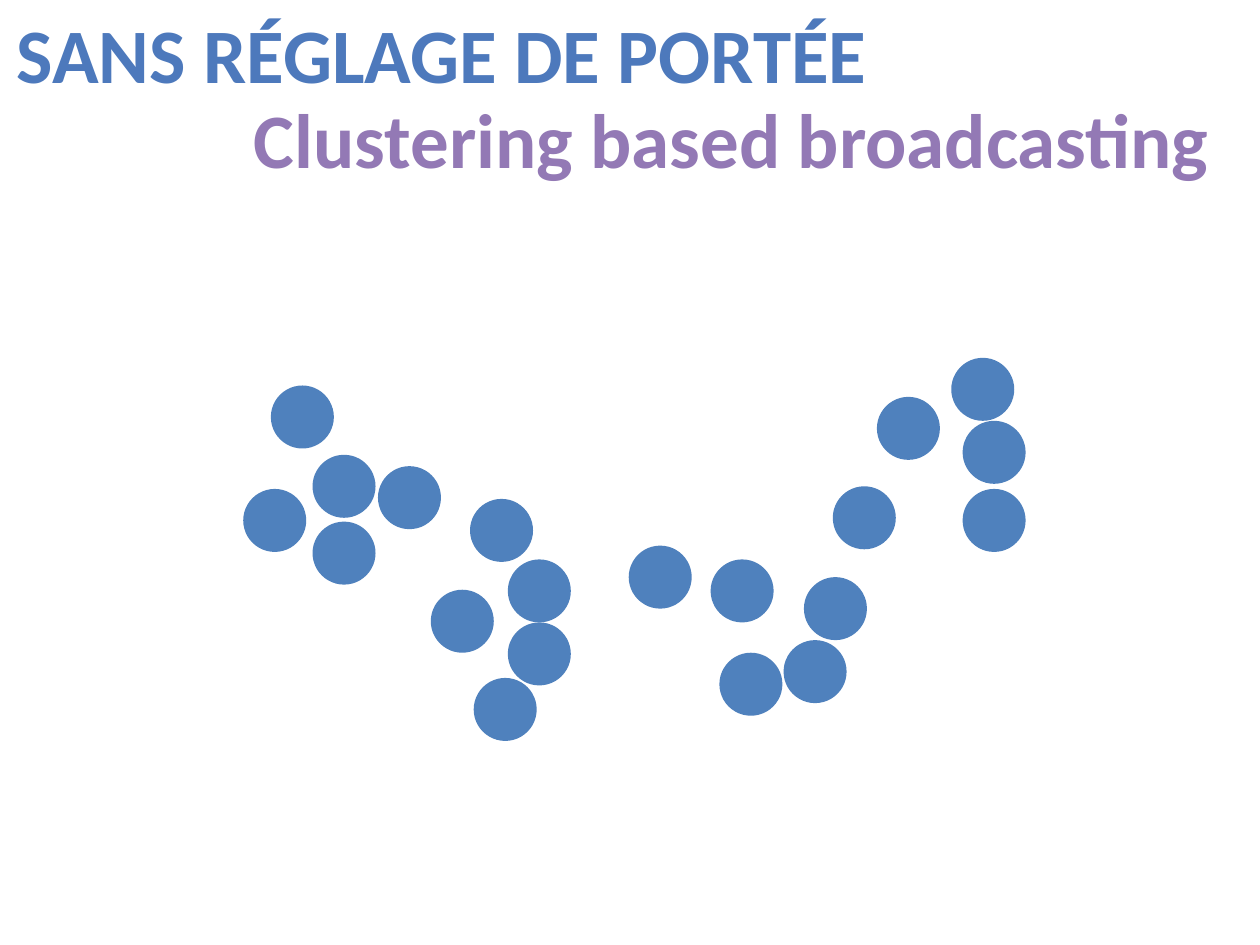
from dataclasses import dataclass

from pptx import Presentation
from pptx.dml.color import RGBColor as RGB
from pptx.enum.shapes import MSO_SHAPE as Shape
from pptx.enum.text import MSO_AUTO_SIZE as Fit, PP_ALIGN as Align
from pptx.oxml import parse_xml
from pptx.util import Pt

NS = "http://schemas.openxmlformats.org/drawingml/2006/main"


@dataclass(frozen=True)
class Theme:
    font: str = "Calibri"
    size: float = 44
    dot: str = "4F81BD"
    # Vertical gradients: (percent, colour)
    blue: tuple = ((0, "7494C9"), (49, "4D79BC"), (50, "346AAA"),
                   (92, "325F94"), (100, "315D91"))
    violet: tuple = ((0, "B099D2"), (40, "9379B5"), (50, "9379B5"),
                     (68, "9379B5"), (100, "B099D2"))


def shade(run, stops):
    """Fill the letters with a gradient running from top to bottom."""
    marks = "".join(f'<a:gs pos="{pos * 1000}"><a:srgbClr val="{tint}"/></a:gs>'
                    for pos, tint in stops)
    fill = parse_xml(f'<a:gradFill xmlns:a="{NS}"><a:gsLst>{marks}</a:gsLst>'
                     '<a:lin ang="5400000"/></a:gradFill>')
    run.font.fill.background()
    props = run.font.fill._xPr
    props.replace(props[0], fill)


def write(frame, text, *, font, size, stops, bold=True, align=Align.CENTER):
    para = frame.paragraphs[0]
    para.alignment = align
    run = para.add_run()
    run.text = text
    shade(run, stops)
    run.font.name, run.font.size, run.font.bold = font, Pt(size), bold


class Board:
    def __init__(self, slide, theme):
        self.slide, self.theme = slide, theme

    def title(self, text, left, top, width, high, stops):
        box = self.slide.shapes.add_textbox(Pt(left), Pt(top), Pt(width), Pt(high))
        frame = box.text_frame
        frame.word_wrap = False
        frame.auto_size = Fit.SHAPE_TO_FIT_TEXT
        write(frame, text, font=self.theme.font, size=self.theme.size, stops=stops)

    def dot(self, left, top, size=36):
        node = self.slide.shapes.add_shape(
            Shape.OVAL, Pt(left), Pt(top), Pt(size), Pt(size))
        node.shadow.inherit = False
        node.fill.solid()
        node.fill.fore_color.rgb = RGB.from_string(self.theme.dot)
        node.line.fill.background()


# Left and top of each network node, by cluster
CLUSTERS = {
    "centre": [(290.2, 319.7), (268.6, 285.1), (246.2, 337), (270.7, 387.4),
               (290.2, 355.7)],
    "right": [(475.9, 277.9), (501.1, 226.8), (543.6, 204.5), (550.1, 240.5),
              (550.1, 279.4)],
    "low": [(411.1, 373), (359.3, 311.8), (406.1, 319.7), (447.8, 365.8),
            (459.4, 329.8)],
    "left": [(154.8, 220.3), (139, 279.4), (178.6, 259.9), (178.6, 298.1),
             (216, 266.4)],
}


def main():
    deck = Presentation()
    deck.slide_width, deck.slide_height = Pt(720), Pt(540)
    theme = Theme()
    board = Board(deck.slides.add_slide(deck.slide_layouts[6]), theme)

    # Titles
    board.title("SANS RÉGLAGE DE PORTÉE", 0, 0, 505.4, 60.5, theme.blue)
    board.title("Clustering based broadcasting", 135.4, 49, 565.9, 60.5, theme.violet)

    # Nodes
    for nodes in CLUSTERS.values():
        for left, top in nodes:
            board.dot(left, top)

    deck.save("out.pptx")


if __name__ == "__main__":
    main()
